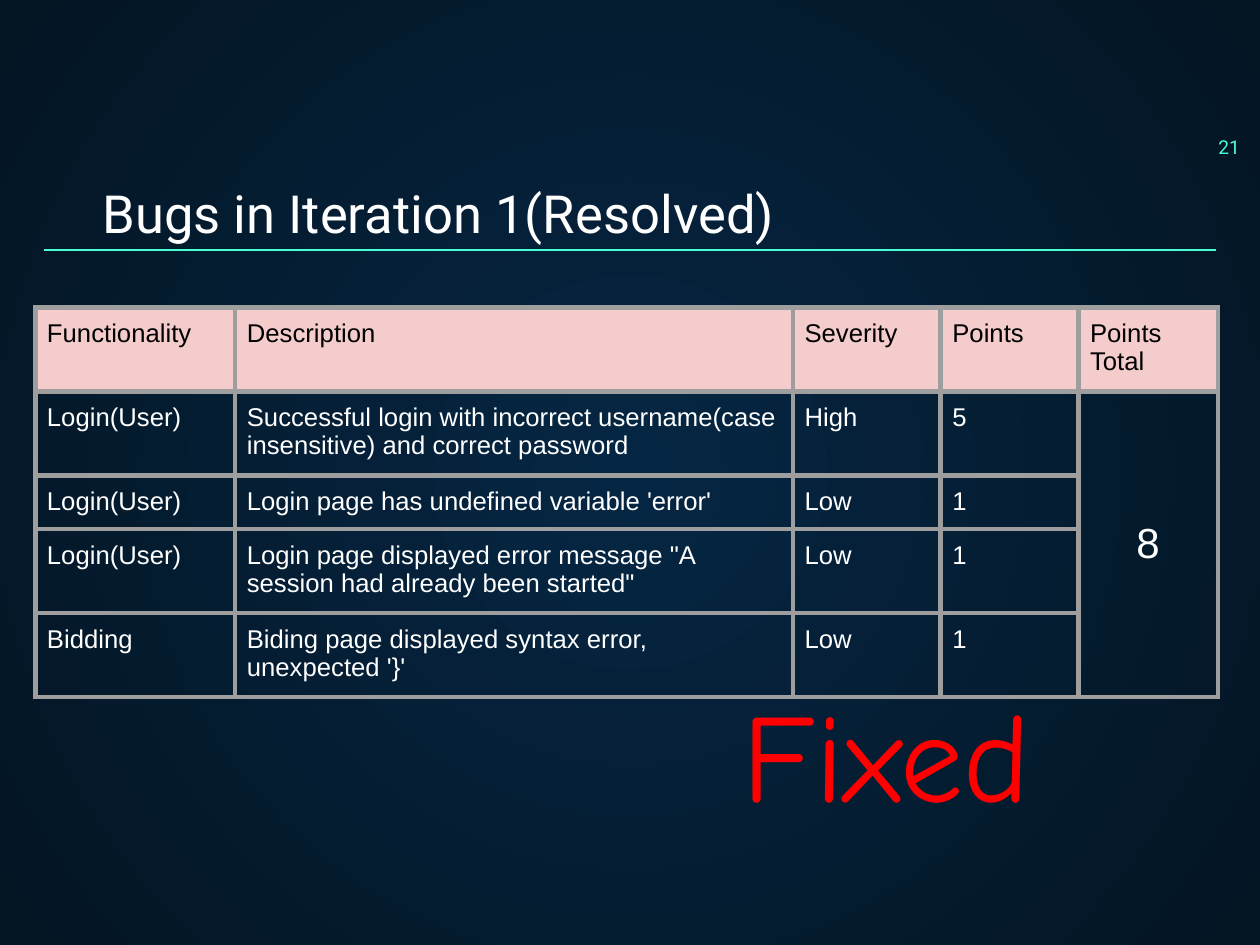
from dataclasses import dataclass

from lxml import etree
from pptx import Presentation
from pptx.dml.color import RGBColor
from pptx.enum.shapes import MSO_CONNECTOR
from pptx.enum.text import MSO_ANCHOR, PP_ALIGN
from pptx.oxml.ns import qn
from pptx.util import Inches, Pt

LEFT, CENTER, RIGHT = PP_ALIGN.LEFT, PP_ALIGN.CENTER, PP_ALIGN.RIGHT
TOP, MIDDLE, BOTTOM = MSO_ANCHOR.TOP, MSO_ANCHOR.MIDDLE, MSO_ANCHOR.BOTTOM
STRAIGHT = MSO_CONNECTOR.STRAIGHT

WHITE = RGBColor(0xFF, 0xFF, 0xFF)
BLACK = RGBColor(0x00, 0x00, 0x00)
RED = RGBColor(0xFF, 0x00, 0x00)
MINT = RGBColor(0x48, 0xFF, 0xD5)
PINK = RGBColor(0xF4, 0xCC, 0xCC)
GREY = RGBColor(0x9E, 0x9E, 0x9E)
NAVY = RGBColor(0x05, 0x26, 0x43)
DARK_NAVY = RGBColor(0x04, 0x15, 0x23)

SLIDE_WIDTH = 7.5
SLIDE_HEIGHT = SLIDE_WIDTH * 3 / 4
INSET = Inches(0.07)
COL_WIDTHS = [1.19, 3.32, 0.88, 0.82, 0.83]
ROW_HEIGHTS = [0.5, 0.5, 0.32, 0.5, 0.5]
BUGS = [
    ["Functionality", "Description", "Severity", "Points", "Points Total"],
    ["Login(User)",
     "Successful login with incorrect username(case insensitive) and correct password",
     "High", "5", "8"],
    ["Login(User)", "Login page has undefined variable 'error'", "Low", "1"],
    ["Login(User)",
     'Login page displayed error message "A session had already been started"',
     "Low", "1"],
    ["Bidding", "Biding page displayed syntax error, unexpected '}'", "Low", "1"],
]


@dataclass
class Style:
    font: str
    size: float
    color: RGBColor
    align: PP_ALIGN = LEFT
    anchor: MSO_ANCHOR = TOP


@dataclass
class Label:
    text: str
    left: float
    top: float
    width: float
    height: float
    style: Style


LABELS = [
    Label("Bugs in Iteration 1(Resolved)", 0.54, 1.02, 6.43, 0.5,
          Style("Roboto", 22.5, WHITE, anchor=BOTTOM)),
    Label("Fixed", 4.35, 3.96, 2.14, 0.64, Style("Comic Neue", 54, RED)),
    Label("21", 6.48, 0.74, 0.97, 0.5, Style("Roboto", 8.2, MINT, RIGHT)),
]
HEADER = Style("Arial", 11, BLACK)
BODY = Style("Arial", 11, WHITE)
TOTAL = Style("Arial", 18, WHITE, CENTER, MIDDLE)


def set_background(s) -> None:
    """Fill the slide with a gradient that darkens outwards from its centre."""
    fill = s.background.fill
    fill.gradient()
    for stop, color in zip(fill.gradient_stops, (NAVY, DARK_NAVY)):
        stop.color.rgb = color
    grad = next(s._element.iter(qn("a:gradFill")))
    grad.remove(grad.find(qn("a:lin")))
    circle = etree.SubElement(grad, qn("a:path"), path="circle")
    etree.SubElement(circle, qn("a:fillToRect"),
                     {side: "50000" for side in "ltrb"})


def write(tf, text: str, style: Style) -> None:
    tf.text = text
    p = tf.paragraphs[0]
    p.alignment = style.align
    font = p.runs[0].font
    font.name, font.size = style.font, Pt(style.size)
    font.color.rgb = style.color


def set_insets(box) -> None:
    box.margin_left = box.margin_right = INSET
    box.margin_top = box.margin_bottom = INSET


def add_label(s, label: Label) -> None:
    box = (label.left, label.top, label.width, label.height)
    tf = s.shapes.add_textbox(*map(Inches, box)).text_frame
    tf.word_wrap = True
    tf.vertical_anchor = label.style.anchor
    set_insets(tf)
    write(tf, label.text, label.style)


def add_rule(s) -> None:
    """Draw the line under the title."""
    y = Inches(1.49)
    rule = s.shapes.add_connector(STRAIGHT, Inches(0.26), y, Inches(7.24), y)
    rule.line.color.rgb = MINT
    rule.line.width = Pt(0.75)
    etree.SubElement(rule._element.spPr, qn("a:effectLst"))


def set_borders(cell) -> None:
    tcPr = cell._tc.get_or_add_tcPr()
    for i, side in enumerate("LRTB"):
        ln = etree.Element(qn(f"a:ln{side}"), w=str(Pt(2.25)))
        solid = etree.SubElement(ln, qn("a:solidFill"))
        etree.SubElement(solid, qn("a:srgbClr"), val=str(GREY))
        tcPr.insert(i, ln)


def add_bug_table(s) -> None:
    table = s.shapes.add_table(
        len(ROW_HEIGHTS), len(COL_WIDTHS), Inches(0.21), Inches(1.83),
        Inches(sum(COL_WIDTHS)), Inches(sum(ROW_HEIGHTS))).table
    table.first_row = table.horz_banding = False
    for col, width in zip(table.columns, COL_WIDTHS):
        col.width = Inches(width)
    for row, height in zip(table.rows, ROW_HEIGHTS):
        row.height = Inches(height)

    for cell in table.iter_cells():
        set_insets(cell)
        cell.fill.background()
        set_borders(cell)

    last = len(COL_WIDTHS) - 1
    table.cell(1, last).merge(table.cell(len(ROW_HEIGHTS) - 1, last))
    for i, texts in enumerate(BUGS):
        for j, text in enumerate(texts):
            cell = table.cell(i, j)
            style = HEADER if i == 0 else TOTAL if j == last else BODY
            if i == 0:
                cell.fill.solid()
                cell.fill.fore_color.rgb = PINK
            cell.vertical_anchor = style.anchor
            write(cell.text_frame, text, style)


def main() -> None:
    prs = Presentation()
    prs.slide_width, prs.slide_height = Inches(SLIDE_WIDTH), Inches(SLIDE_HEIGHT)
    s = prs.slides.add_slide(prs.slide_layouts[6])
    set_background(s)
    add_rule(s)
    add_bug_table(s)
    for label in LABELS:
        add_label(s, label)
    prs.save("out.pptx")


if __name__ == "__main__":
    main()
